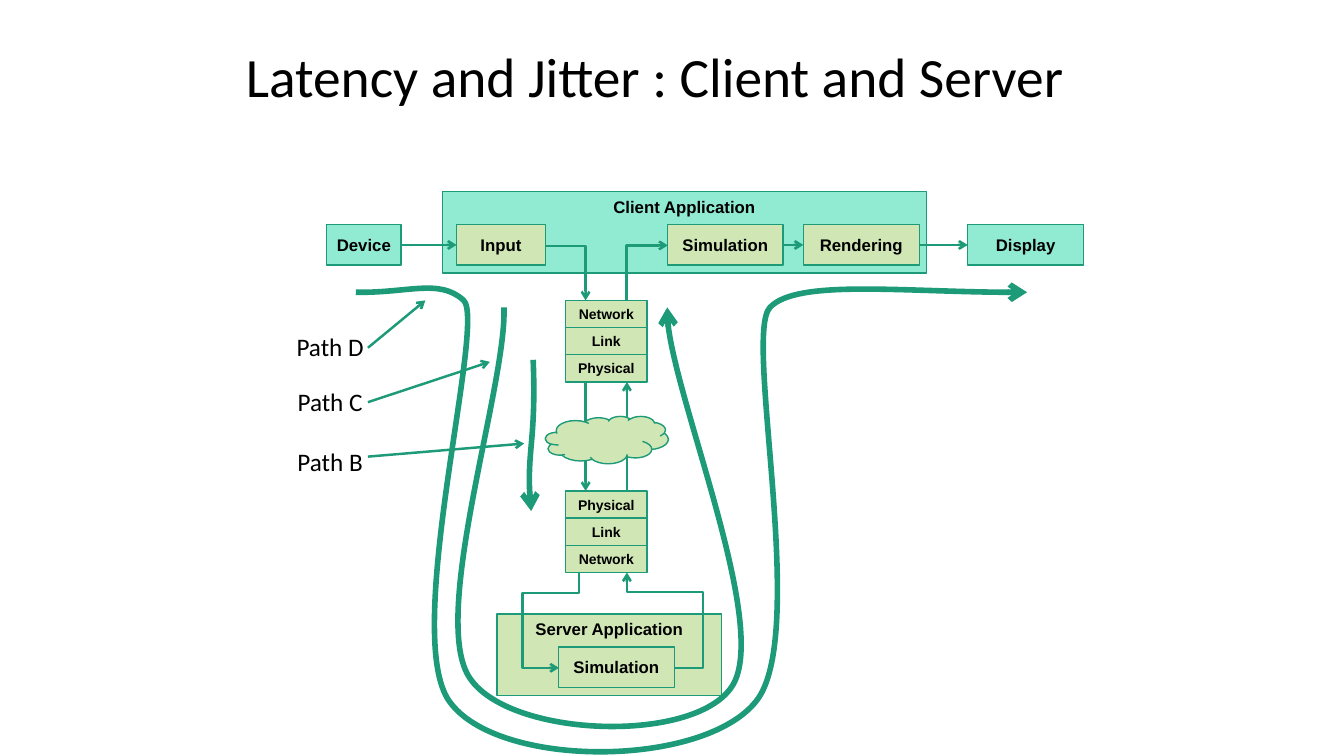
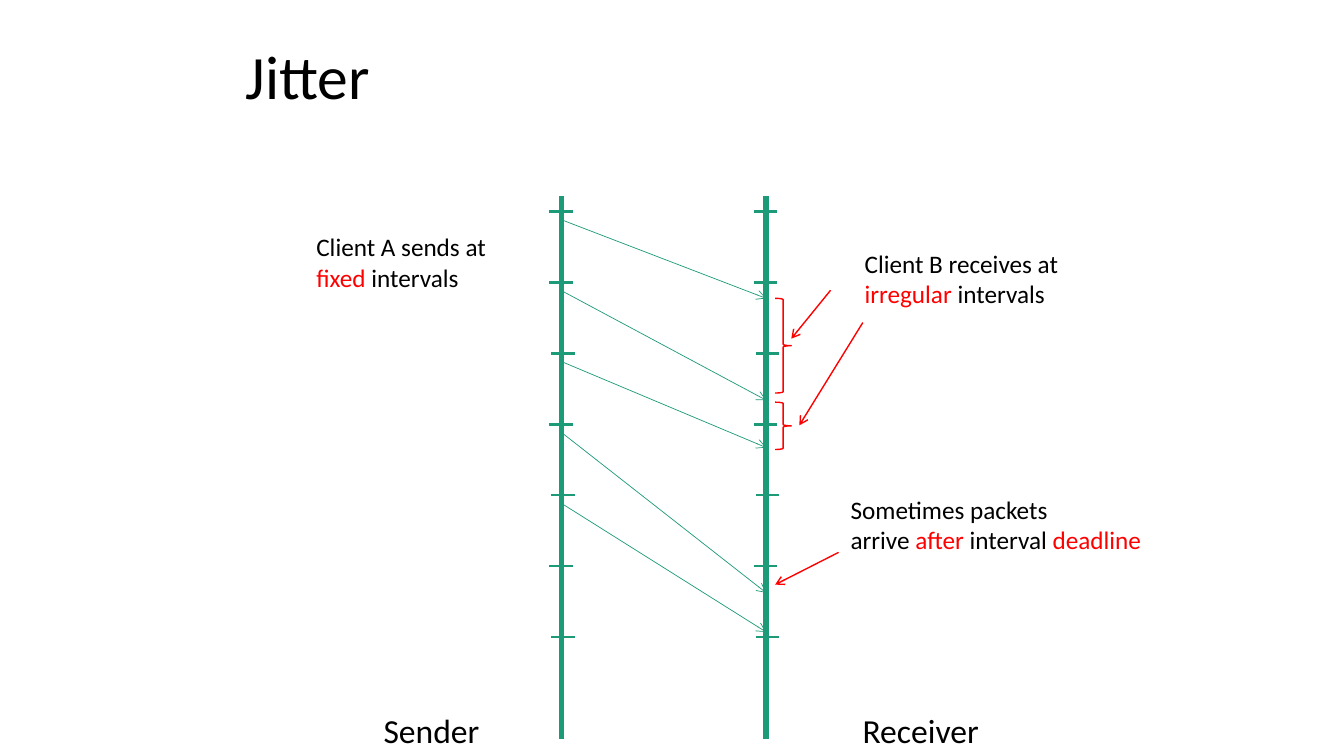
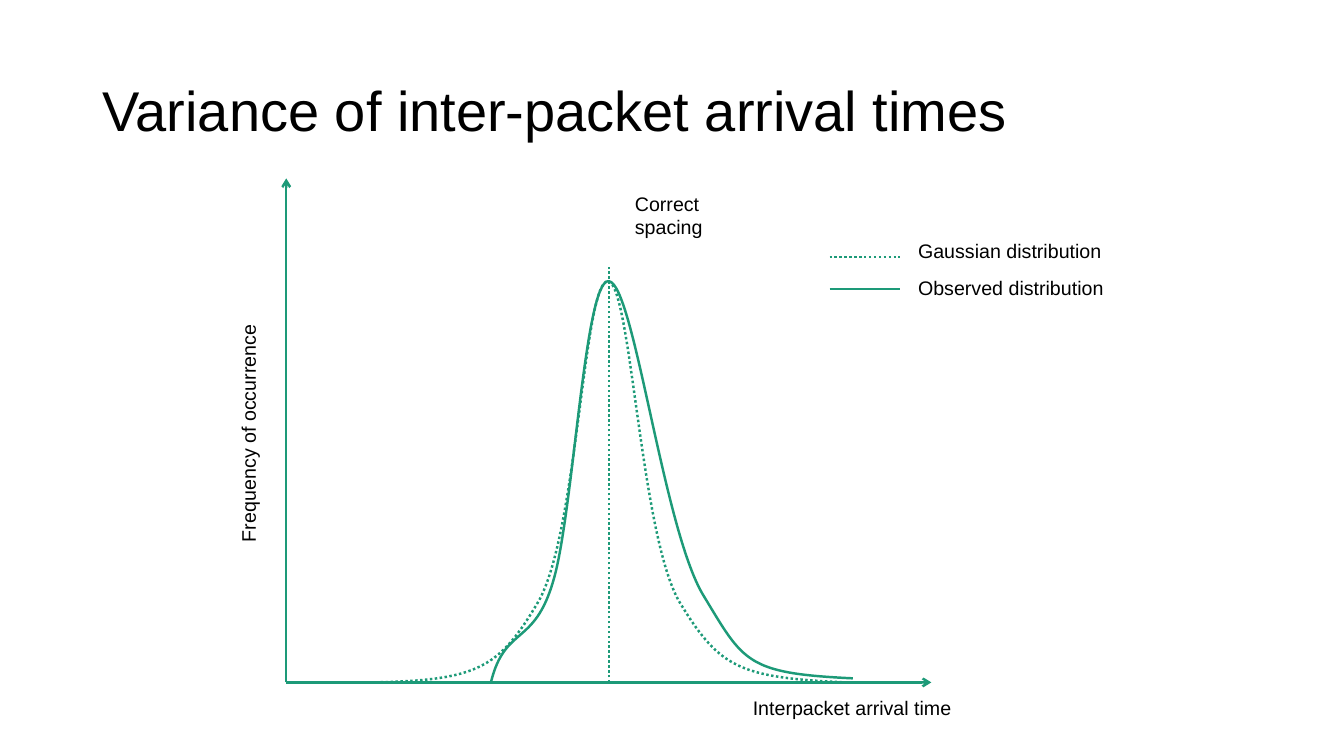
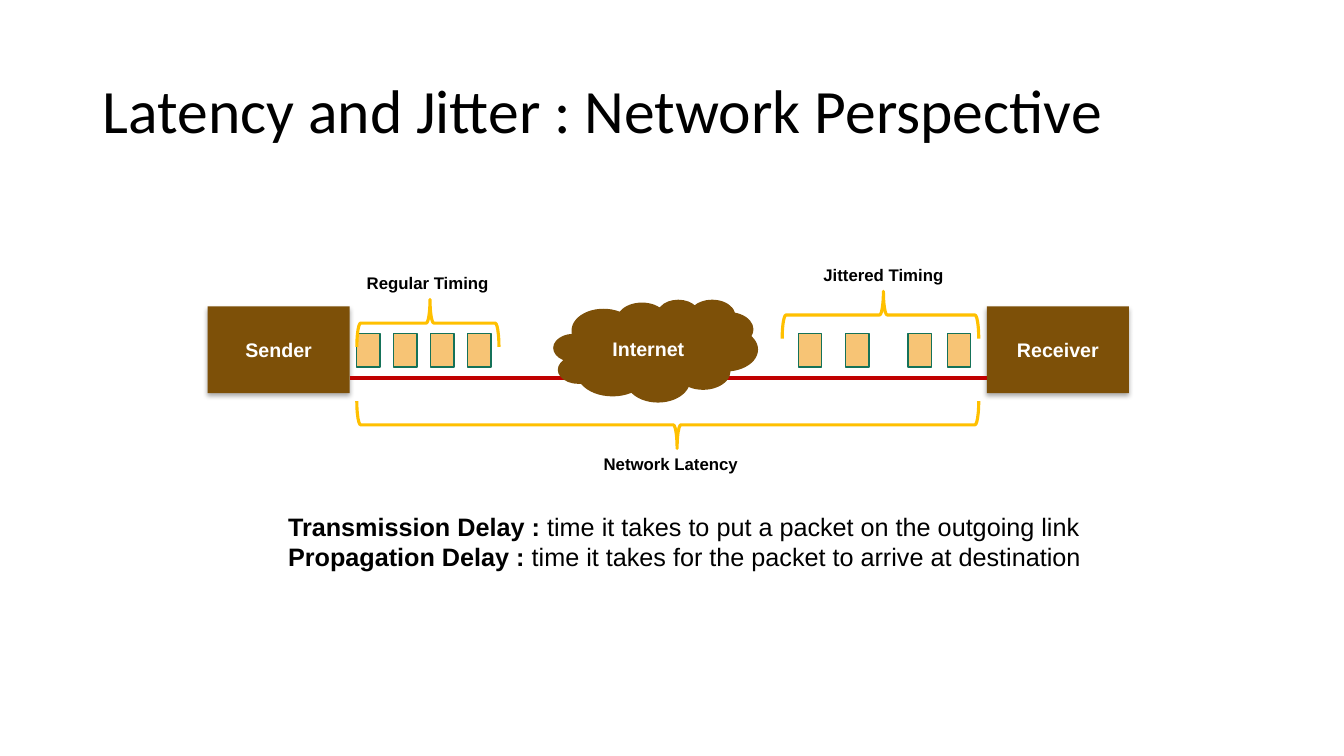
import lxml.etree
import pptx
import pptx.dml.color
import pptx.enum.dml
import pptx.enum.shapes
import pptx.enum.text
import pptx.oxml.ns
import pptx.util

# ---- Shared look: the grid has one-inch columns and rows ----
WIDE, HIGH = 40 / 3, 7.5
GREEN, MINT, LIME = "1D9A78", "91EAD2", "D1E6B5"
BLACK, WHITE, RED = "000000", "FFFFFF", "FF0000"
BROWN, SAND, PINE, GOLD, WIRE = "7D5008", "F7C475", "157259", "FFC000", "C00000"
THIN, MID, BOLD, THICK = 1, 1.75, 2.25, 4
HEAD_TOP = (2.34, 0.25, 8.92, 1.08)
HEAD_LOW = (0.92, 0.4, 11.5, 1.45)
SHAPE = pptx.enum.shapes.MSO_SHAPE
LINK = pptx.enum.shapes.MSO_CONNECTOR
ALIGN = pptx.enum.text.PP_ALIGN
ANCHOR = pptx.enum.text.MSO_ANCHOR
DOTS = pptx.enum.dml.MSO_LINE.ROUND_DOT
qn = pptx.oxml.ns.qn

# ---- Slide 1: client and server ----
FLOW_Y, FLOW_H = 2.23, 0.4
FLOW_MID = FLOW_Y + FLOW_H / 2
FLOW = [  # name, left, width, fill
    ("Input", 4.53, 0.88, LIME), ("Simulation", 6.62, 1.15, LIME),
    ("Rendering", 7.97, 1.15, LIME), ("Device", 3.24, 0.74, MINT),
    ("Display", 9.6, 1.15, MINT),
]
JOINS = [("Device", "Input"), ("Simulation", "Rendering"), ("Rendering", "Display")]
LAYERS = ["Network", "Link", "Physical"]
STACK_X, STACK_W, ROW = 5.61, 0.81, 0.27
STACKS = [(2.98, LAYERS), (4.87, LAYERS[::-1])]
BENDS = [  # frame, turn, flipped, preset, adjust values
    ((5.41, 2.44, 0.4, 0.54), 0, False, "bentConnector2", ()),
    ((6.15, 2.5, 0.54, 0.41), 90, True, "bentConnector2", ()),
    ((5.17, 6.05, 0.95, 0.2), 90, False, "bentConnector4", (21900, 281200)),
    ((6.22, 5.68, 0.47, 0.95), 0, True, "bentConnector4", (-60200, 79600)),
]
ROUTES = [  # start, then two handles and an end for each curve
    [(3.53, 2.9), (4.05, 2.91), (4.36, 2.76), (4.6, 2.98),
     (4.83, 3.19), (3.98, 6.3), (4.46, 6.96), (4.94, 7.63), (6.97, 7.62), (7.5, 6.96),
     (8.03, 6.31), (7.37, 3.32), (7.64, 3.05), (7.9, 2.77), (9.07, 2.91), (10.19, 2.9)],
    [(5, 3.05), (5.03, 3.81), (4.27, 6.09), (4.65, 6.71),
     (5.03, 7.33), (6.95, 7.39), (7.28, 6.78), (7.61, 6.16), (6.58, 3.69), (6.62, 3.05)],
    [(5.29, 3.57), (5.32, 4.33), (5.21, 4.51), (5.27, 5.07)],
]
PATHS = [  # label, top, pointer start and end
    ("Path C", 3.78, (3.65, 3.99), (4.86, 3.59)),
    ("Path D", 3.24, (3.65, 3.45), (4.22, 2.98)),
    ("Path B", 4.38, (3.65, 4.53), (5.2, 4.4)),
]

# ---- Slide 2: jitter ----
SEND_X, GET_X, AXIS_Y = 5.57, 7.6, (1.94, 7.33)
TICK_X, TICK_W = (5.45, 7.48), 0.23
NUDGE = [0, 0, 0.02, 0, 0.02, 0, 0.02]
TICK_Y, TICK_END, SEND_Y = 2.1, 6.32, 2.18
STEP = (TICK_END - TICK_Y) / (len(NUDGE) - 1)
ARRIVE = [2.96, 3.97, 4.44, 5.88, 6.27]
ROLES = [("Sender", (3.42, 6.99, 1.72, 0.51)), ("Receiver", (8, 6.99, 2.27, 0.51))]
HOT = {"color": RED}
NOTES = [
    ((3.04, 2.25, 1.9, 0.71), [["Client A sends at"], [("fixed", HOT), " intervals"]]),
    ((8.48, 2.41, 2.14, 0.71), [["Client B receives at"], [("irregular", HOT), " intervals"]]),
    ((8.34, 4.85, 3.12, 0.71), [["Sometimes packets"],
     ["arrive ", ("after", HOT), " interval ", ("deadline", HOT)]]),
]
POINTS = [((8.24, 2.88), (7.85, 3.36)), ((8.56, 3.2), (7.93, 4.22)),
          ((8.32, 5.48), (7.69, 5.8))]
GAPS = [(7.69, 2.96, 0.16, 0.94), (7.69, 3.99, 0.16, 0.47)]

# ---- Slide 3: spread of arrival times ----
ZERO, PEAK_X = (2.84, 6.77), 6.04
TIPS = [(9.24, 6.77), (2.84, 1.77)]
CURVES = [  # dash, points
    (DOTS, [(3.68, 6.77), (4.75, 6.75), (4.95, 6.63), (5.34, 5.97),
            (5.73, 5.3), (5.79, 2.79), (6.03, 2.79), (6.26, 2.79), (6.35, 5.3),
            (6.74, 5.97), (7.14, 6.63), (7.33, 6.72), (8.39, 6.77)]),
    (None, [(4.87, 6.77), (5.01, 6.2), (5.3, 6.42), (5.49, 5.76),
            (5.69, 5.09), (5.8, 2.76), (6.04, 2.79), (6.29, 2.81), (6.58, 5.26),
            (6.98, 5.91), (7.38, 6.57), (7.4, 6.68), (8.46, 6.73)]),
]
KEYS = [("Gaussian distribution", 2.55, 2.32, DOTS),
        ("Observed distribution", 2.87, 2.69, None)]
LABELS = [  # lines, frame, turn
    ([["Interpacket arrival time"]], (7.37, 6.85, 2.18, 0.34), 0),
    ([["Frequency of occurrence"]], (1.28, 4.12, 2.37, 0.34), 270),
    ([["Correct"], ["spacing"]], (6.2, 1.85, 0.88, 0.57), 0),
]

# ---- Slide 4: network view ----
ENDS = [("Sender", 2.06), ("Receiver", 9.79)]
END_Y, END_W, END_H = 3.04, 1.41, 0.86
WIRE_Y = 3.75
EVEN = [3.54 + i * 0.367 for i in range(4)]
UNEVEN = [7.92, 8.39, 9.01, 9.4]
SPANS = [  # frame, turn, flipped
    ((4.01, 2.5, 0.47, 1.41), 270, False),
    ((8.5, 2.15, 0.47, 1.95), 270, False),
    ((6.39, 1.13, 0.47, 6.17), 90, True),
]
TAGS = [("Regular Timing", (3.54, 2.66, 1.43, 0.3)),
        ("Jittered Timing", (8.07, 2.58, 1.41, 0.3)),
        ("Network Latency", (5.89, 4.45, 1.55, 0.3))]
STRONG = {"bold": True}
TERMS = [
    [("Transmission Delay : ", STRONG), "time it takes to put a packet on the outgoing link"],
    [("Propagation Delay : ", STRONG), "time it takes for the packet to arrive at destination"],
]


# ---- Helpers ----
def inch(*vals):
    return [pptx.util.Inches(v) for v in vals]


def tint(code):
    return pptx.dml.color.RGBColor.from_string(code)


def write(shape, lines, look, align=ALIGN.LEFT, space=None):
    """Fill a shape with lines, each a list of plain or (text, format) runs."""
    frame = shape.text_frame
    for i, parts in enumerate(lines):
        para = frame.add_paragraph() if i else frame.paragraphs[0]
        para.alignment = align
        if space:
            para.line_spacing = space
        for part in parts:
            words, extra = (part, {}) if isinstance(part, str) else part
            run = para.add_run()
            run.text = words
            for key, val in {"color": BLACK, **look, **extra}.items():
                if key == "color":
                    run.font.color.rgb = tint(val)
                else:
                    setattr(run.font, key, pptx.util.Pt(val) if key == "size" else val)


def label(slide, at, lines, size, face="Arial", wrap=False, turn=0,
          align=ALIGN.LEFT, bold=False):
    box = slide.shapes.add_textbox(*inch(*at))
    box.rotation = turn
    box.text_frame.word_wrap = wrap
    box.text_frame.auto_size = pptx.enum.text.MSO_AUTO_SIZE.SHAPE_TO_FIT_TEXT
    write(box, lines, {"name": face, "size": size, "bold": bold}, align)


def title(slide, words, at, size, face="Calibri"):
    box = slide.shapes.add_textbox(*inch(*at))
    box.text_frame.word_wrap = True
    box.text_frame.vertical_anchor = ANCHOR.MIDDLE
    write(box, [[words]], {"name": face, "size": size}, space=0.9)


def stroke(shape, color, width, dash=None, arrow=False):
    shape.line.color.rgb = tint(color)
    shape.line.width = pptx.util.Pt(width)
    if dash:
        shape.line.dash_style = dash
    if arrow:
        line = shape.element.spPr.find(qn("a:ln"))
        lxml.etree.SubElement(line, qn("a:tailEnd"), type="arrow")


def block(slide, at, fill, edge=None, words="", size=12, color=BLACK,
          kind=SHAPE.RECTANGLE, anchor=ANCHOR.MIDDLE):
    shape = slide.shapes.add_shape(kind, *inch(*at))
    shape.shadow.inherit = False
    shape.fill.solid()
    shape.fill.fore_color.rgb = tint(fill)
    if edge:
        stroke(shape, edge, THIN)
    else:
        shape.line.fill.background()
    if words:
        frame = shape.text_frame
        frame.margin_left = frame.margin_right = 0
        frame.vertical_anchor = anchor
        write(shape, [[words]], {"name": "Arial", "size": size, "bold": True,
                                 "color": color}, ALIGN.CENTER)
    return shape


def line(slide, start, end, color=GREEN, width=MID, dash=None, arrow=False,
         kind=LINK.STRAIGHT):
    link = slide.shapes.add_connector(kind, *inch(*start, *end))
    stroke(link, color, width, dash, arrow)
    lxml.etree.SubElement(link.element.spPr, qn("a:effectLst"))
    return link


def bend(slide, at, turn, flip, preset, adjust):
    x, y, w, h = at
    link = line(slide, (x, y), (x + w, y + h), arrow=True, kind=LINK.ELBOW)
    props = link.element.spPr
    props.xfrm.set("rot", str(turn * 60000))
    if flip:
        props.xfrm.set("flipH", "1")
        props.xfrm.set("flipV", "1")
    geom = props.find(qn("a:prstGeom"))
    geom.set("prst", preset)
    for i, val in enumerate(adjust, 1):
        lxml.etree.SubElement(geom.find(qn("a:avLst")), qn("a:gd"),
                              name=f"adj{i}", fmla=f"val {val}")


def curve(slide, points, width=MID, dash=None, arrow=False):
    """Outline through the points, with each three legs made one curve."""
    spots = [inch(*p) for p in points]
    pen = slide.shapes.build_freeform(*spots[0], scale=1.0)
    pen.add_line_segments(spots[1:], close=False)
    shape = pen.convert_to_shape()
    shape.shadow.inherit = False
    shape.fill.background()
    stroke(shape, GREEN, width, dash, arrow)
    trace = next(shape.element.iter(qn("a:path")))
    legs = list(trace)[1:]
    for i in range(0, len(legs), 3):
        arc = lxml.etree.SubElement(trace, qn("a:cubicBezTo"))
        for leg in legs[i:i + 3]:
            arc.append(leg[0])
            trace.remove(leg)


def brace(slide, at, color, width, turn=0, flip=False, mid=0.5):
    shape = slide.shapes.add_shape(SHAPE.RIGHT_BRACE, *inch(*at))
    shape.shadow.inherit = False
    shape.fill.background()
    stroke(shape, color, width)
    shape.adjustments[0], shape.adjustments[1] = 0.08, mid
    shape.rotation = turn
    if flip:
        shape.element.spPr.xfrm.set("flipV", "1")


def shade(shape):
    """Soft shadow just below a block."""
    glow = shape.element.spPr.find(qn("a:effectLst"))
    drop = lxml.etree.SubElement(glow, qn("a:outerShdw"), blurRad="44450",
                                 dist="27940", dir="5400000", rotWithShape="0")
    tone = lxml.etree.SubElement(drop, qn("a:srgbClr"), val=BLACK)
    lxml.etree.SubElement(tone, qn("a:alpha"), val="32000")


# ---- Slides ----
def paths(slide):
    block(slide, (4.39, 1.9, 4.8, 0.81), MINT, GREEN, "Client Application",
          anchor=ANCHOR.TOP)
    boxes = {name: block(slide, (x, FLOW_Y, w, FLOW_H), fill, GREEN, name)
             for name, x, w, fill in FLOW}
    block(slide, (4.93, 6.09, 2.23, 0.81), LIME, GREEN, "Server Application",
          anchor=ANCHOR.TOP)
    block(slide, (5.54, 6.42, 1.15, FLOW_H), LIME, GREEN, "Simulation")
    for top, names in STACKS:
        for i, name in enumerate(names):
            block(slide, (STACK_X, top + i * ROW, STACK_W, ROW), LIME, GREEN, name, 10)
    # Links
    for a, b in JOINS:
        link = line(slide, (0, FLOW_MID), (1, FLOW_MID), arrow=True)
        link.begin_connect(boxes[a], 3)
        link.end_connect(boxes[b], 1)
    upper, lower = STACKS[0][0] + 3 * ROW, STACKS[1][0]
    line(slide, (5.81, upper), (5.81, lower), arrow=True)
    line(slide, (6.22, lower), (6.22, upper), arrow=True)
    block(slide, (5.41, 4.13, 1.22, 0.47), LIME, GREEN, kind=SHAPE.CLOUD)
    for item in BENDS:
        bend(slide, *item)
    # Routes and their names
    for points in ROUTES:
        curve(slide, points, THICK, arrow=True)
    for name, top, start, end in PATHS:
        label(slide, (2.5, top, 1.55, 0.4), [[name]], 18, "Calibri", True,
              align=ALIGN.CENTER)
        line(slide, start, end, arrow=True)
    title(slide, "Latency and Jitter : Client and Server", HEAD_TOP, 39.6)


def jitter(slide):
    for x in (SEND_X, GET_X):
        line(slide, (x, AXIS_Y[0]), (x, AXIS_Y[1]), width=THICK)
    for i, y in enumerate(ARRIVE):
        line(slide, (SEND_X, SEND_Y + i * STEP), (GET_X, y), width=0.5, arrow=True)
    for left in TICK_X:
        for i, nudge in enumerate(NUDGE):
            x, y = left + nudge, TICK_Y + i * STEP
            line(slide, (x, y), (x + TICK_W, y))
    for name, at in ROLES:
        label(slide, at, [[name]], 24, "Calibri", True, align=ALIGN.CENTER)
    title(slide, "Jitter", HEAD_TOP, 44)
    for at, lines in NOTES:
        label(slide, at, lines, 18, "Calibri")
    for start, end in POINTS:
        line(slide, start, end, RED, THIN, arrow=True)
    for at in GAPS:
        brace(slide, at, RED, THIN)


def spread(slide):
    for tip in TIPS:
        line(slide, ZERO, tip, arrow=True)
    line(slide, (PEAK_X, ZERO[1]), (PEAK_X, 2.63), dash=DOTS)
    for dash, points in CURVES:
        curve(slide, points, dash=dash)
    for lines, at, turn in LABELS:
        label(slide, at, lines, 14, turn=turn)
    for name, y, top, dash in KEYS:
        line(slide, (8.23, y), (8.93, y), dash=dash)
        label(slide, (9.01, top, 2.1, 0.34), [[name]], 14, wrap=True)
    title(slide, "Variance of inter-packet arrival times", HEAD_LOW, 40, "Arial")


def network(slide):
    title(slide, "Latency and Jitter : Network Perspective", HEAD_LOW, 44)
    for name, x in ENDS:
        shade(block(slide, (x, END_Y, END_W, END_H), BROWN, None, name, 14, WHITE))
    for x in EVEN + UNEVEN:
        block(slide, (x, 3.31, 0.23, 0.33), SAND, PINE)
    line(slide, (ENDS[0][1] + END_W, WIRE_Y), (ENDS[1][1], WIRE_Y), WIRE, BOLD)
    block(slide, (5.49, 2.97, 2.03, 1.02), BROWN, None, "Internet", 14, WHITE, SHAPE.CLOUD)
    for at, turn, flip in SPANS:
        brace(slide, at, GOLD, BOLD, turn, flip, 0.515)
    for name, at in TAGS:
        label(slide, at, [[name]], 12, bold=True)
    label(slide, (2.76, 5.02, 8.2, 0.71), TERMS, 18)


def main():
    deck = pptx.Presentation()
    deck.slide_width, deck.slide_height = inch(WIDE, HIGH)
    for draw in (paths, jitter, spread, network):
        draw(deck.slides.add_slide(deck.slide_layouts[6]))
    deck.save("out.pptx")


if __name__ == "__main__":
    main()
